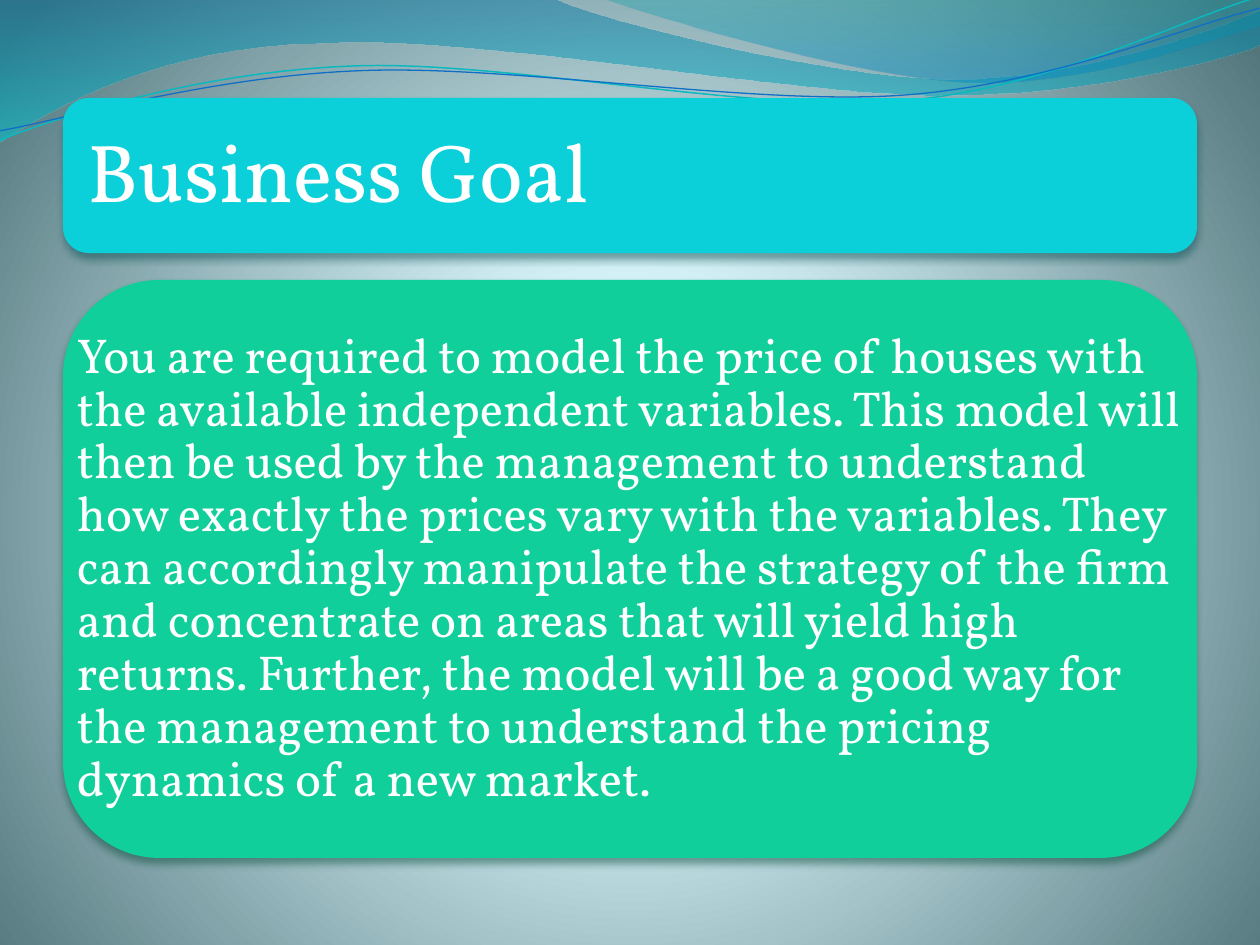
from lxml.etree import SubElement
from pptx import Presentation
from pptx.dml.color import RGBColor
from pptx.enum.shapes import MSO_SHAPE
from pptx.enum.text import MSO_ANCHOR, MSO_AUTO_SIZE, PP_ALIGN
from pptx.oxml import parse_xml
from pptx.oxml.ns import nsdecls, qn
from pptx.util import Emu, Pt

SCALE = 914400 / 126  # EMU per px


def px(n):
    return Emu(round(n * SCALE))


def tint(code):
    return RGBColor.from_string(code)


def curve(shape, parts):
    """Join the three points of each six-number part into one curve."""
    route = shape._element.find(".//" + qn("a:path"))
    lines = iter(route.findall(qn("a:lnTo")))
    for part in parts:
        first = next(lines)
        if len(part) == 6:
            bend = SubElement(route, qn("a:cubicBezTo"))
            first.addprevious(bend)
            for line in (first, next(lines), next(lines)):
                bend.append(line[0])
                route.remove(line)


def blend(fill, root, stops, shade):
    """Fill with stops of (percent, colour, opacity) and a shade element."""
    fill.gradient()
    old = root.find(".//" + qn("a:gradFill"))
    marks = "".join(
        f'<a:gs pos="{pos * 1000}"><a:srgbClr val="{code}">'
        f'<a:alpha val="{alpha * 1000}"/></a:srgbClr></a:gs>'
        for pos, code, alpha in stops)
    old.getparent().replace(old, parse_xml(
        f'<a:gradFill {nsdecls("a")} rotWithShape="1">'
        f'<a:gsLst>{marks}</a:gsLst>{shade}</a:gradFill>'))


def write(shape, text, size, font, color, inset):
    frame = shape.text_frame
    frame.word_wrap = True
    frame.auto_size = MSO_AUTO_SIZE.NONE
    frame.vertical_anchor = MSO_ANCHOR.MIDDLE
    frame.margin_left = frame.margin_right = px(inset)
    frame.margin_top = frame.margin_bottom = px(inset)
    para = frame.paragraphs[0]
    para.alignment = PP_ALIGN.LEFT
    para.line_spacing = 0.9
    run = para.add_run()
    run.text = text
    run.font.size = Pt(size)
    run.font.name = font
    run.font.color.rgb = tint(color)


class Deck:
    font = "Vollkorn"
    ink = "FFFFFF"

    def __init__(self, wide, high):
        self.file = Presentation()
        self.file.slide_width, self.file.slide_height = px(wide), px(high)
        self.slide = self.file.slides.add_slide(self.file.slide_layouts[5])
        self.shapes = self.slide.shapes

    def backdrop(self, stops):
        blend(self.slide.background.fill, self.slide._element, stops,
              '<a:path path="circle"><a:fillToRect l="10000" t="110000" '
              'r="10000" b="100000"/></a:path>')

    def outline(self, start, parts, close):
        pen = self.shapes.build_freeform(*map(px, start))
        points = [(px(x), px(y)) for part in parts
                  for x, y in zip(part[::2], part[1::2])]
        pen.add_line_segments(points, close=close)
        shape = pen.convert_to_shape()
        curve(shape, parts)
        shape.shadow.inherit = False
        return shape

    def wave(self, start, parts, stops):
        shape = self.outline(start, parts, True)
        shape.line.fill.background()
        blend(shape.fill, shape._element, stops,
              '<a:lin ang="5400000" scaled="0"/>')

    def strand(self, start, parts, color, width):
        shape = self.outline(start, parts, False)
        shape.rotation = 357.3
        shape.fill.background()
        shape.line.color.rgb = tint(color)
        shape.line.width = Pt(width)

    def card(self, box, color, shade):
        shape = self.shapes.add_shape(MSO_SHAPE.ROUNDED_RECTANGLE,
                                      *map(px, box))
        shape.fill.solid()
        shape.fill.fore_color.rgb = tint(color)
        shape.line.fill.background()
        shape.shadow.inherit = False
        effects = shape._element.spPr.find(qn("a:effectLst"))
        drop = SubElement(effects, qn("a:outerShdw"), blurRad=str(Pt(4.5)),
                          dist=str(Pt(3)), dir="5400000", rotWithShape="0")
        code = SubElement(drop, qn("a:srgbClr"), val=shade)
        SubElement(code, qn("a:alpha"), val="48000")

    def title(self, box, text, **style):
        shape = self.shapes.title
        shape.left, shape.top, shape.width, shape.height = map(px, box)
        write(shape, text, font=self.font, color=self.ink, **style)
        self.shapes._spTree.append(shape._element)  # above its card

    def body(self, box, text, **style):
        shape = self.shapes.add_textbox(*map(px, box))
        write(shape, text, font=self.font, color=self.ink, **style)


def main():
    deck = Deck(1260, 945)
    deck.backdrop([(0, "DEFBFF", 100), (25, "DDFAFF", 100),
                   (100, "52767C", 100)])

    # Waves along the top
    deck.wave((0, 0), [
        (554, -1), (600, 21, 837, 79, 955, 79),
        (1075, 79, 1207, 33, 1260, 11), (1261, 45),
        (1239, 55, 1096, 96, 940, 95), (784, 95, 481, 35, 324, 43),
        (163, 45, 58, 105, -1, 142), (0, 0),
    ], [(0, "0074A1", 45), (100, "00C6CF", 55)])
    deck.wave((604, -1), [
        (641, 14, 859, 78, 969, 82), (1079, 87, 1211, 40, 1260, 26),
        (1260, 0), (604, -1),
    ], [(0, "00A1A9", 30), (80, "008BBF", 45)])

    # Thin strands, laid level and then turned
    deck.strand((-2, 110), [
        (58, 90, 199, 52, 350, 53), (499, 53, 745, 118, 896, 114),
        (1049, 109, 1184, 45, 1260, 27),
    ], "0AB8BF", 0.85)
    deck.strand((-2, 101), [
        (57, 94, 207, 57, 357, 58), (509, 58, 750, 112, 902, 108),
        (1052, 104, 1188, 52, 1262, 38),
    ], "0F6FC6", 0.75)

    # Heading
    head = (63, 98, 1134, 155)
    deck.card(head, "0BD0D9", "024B4E")
    deck.title(head, "Business Goal", size=47, inset=24)

    # Goal
    goal = (63, 280, 1134, 578)
    deck.card(goal, "10CF9B", "044A37")
    deck.body(
        goal,
        "You are required to model the price of houses with the available "
        "independent variables. This model will then be used by the "
        "management to understand how exactly the prices vary with the "
        "variables. They can accordingly manipulate the strategy of the firm "
        "and concentrate on areas that will yield high returns. Further, the "
        "model will be a good way for the management to understand the "
        "pricing dynamics of a new market.",
        size=28, inset=14)

    deck.file.save("out.pptx")


if __name__ == "__main__":
    main()
